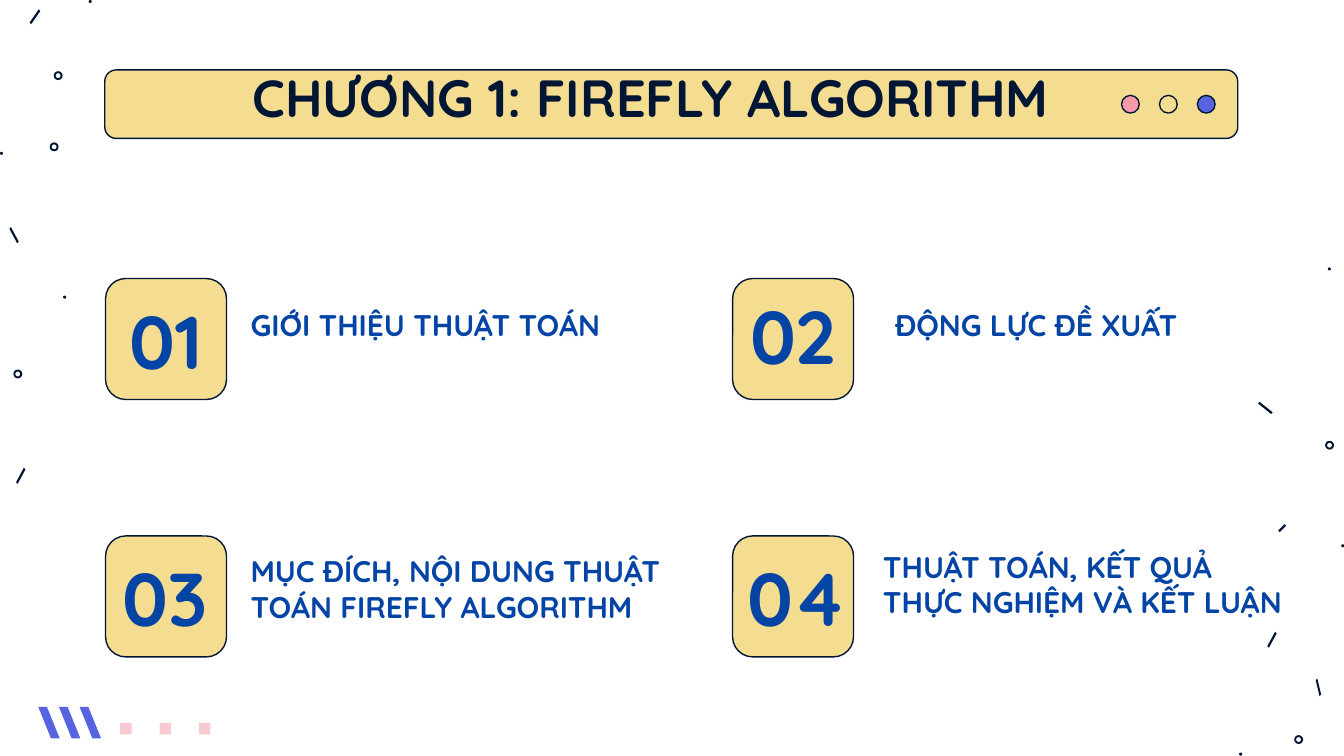
from dataclasses import dataclass

import pptx
import pptx.dml.color
import pptx.enum.shapes
import pptx.enum.text
import pptx.util

SHAPE = pptx.enum.shapes.MSO_SHAPE
ALIGN = pptx.enum.text.PP_ALIGN


@dataclass(frozen=True)
class Theme:
    font: str = "Quicksand"
    ink: str = "011635"
    sand: str = "F4DC90"
    blue: str = "0344A5"
    violet: str = "5863E0"
    pink: str = "F99AAA"
    blush: str = "F9CAD2"
    heading: int = 28
    number: int = 40
    label: int = 16
    outline: float = 0.75


class Board:
    """Draws on one slide; lengths are cells of a grid 100 columns wide."""

    def __init__(self, slide, theme, cell):
        self.shapes = slide.shapes
        self.theme = theme
        self.cell = cell

    def span(self, *cells):
        return [round(n * self.cell) for n in cells]

    def paint(self, shape, fill, outlined=False):
        shape.shadow.inherit = False
        shape.fill.solid()
        shape.fill.fore_color.rgb = pptx.dml.color.RGBColor.from_string(fill)
        if outlined:
            ink = pptx.dml.color.RGBColor.from_string(self.theme.ink)
            shape.line.color.rgb = ink
            shape.line.width = pptx.util.Pt(self.theme.outline)
        else:
            shape.line.fill.background()

    def preset(self, kind, box, fill, outlined=False, adjust=None):
        shape = self.shapes.add_shape(kind, *self.span(*box))
        if adjust is not None:
            shape.adjustments[0] = adjust
        self.paint(shape, fill, outlined)

    def card(self, box):
        self.preset(SHAPE.ROUNDED_RECTANGLE, box, self.theme.sand, True, 0.167)

    def polygon(self, points, fill):
        first, *rest = [self.span(*point) for point in points]
        outline = self.shapes.build_freeform(*first)
        outline.add_line_segments(rest)
        self.paint(outline.convert_to_shape(), fill)

    def dash(self, left, top, width, height, rising):
        thick = 0.12
        near, far = (left, left + width) if rising else (left + width, left)
        inward = thick if rising else -thick
        self.polygon([(far - inward, top), (far, top + thick),
                      (near + inward, top + height),
                      (near, top + height - thick)], self.theme.ink)

    def text(self, words, box, size, color, align=ALIGN.LEFT):
        frame = self.shapes.add_textbox(*self.span(*box)).text_frame
        frame.word_wrap = True
        frame.vertical_anchor = pptx.enum.text.MSO_ANCHOR.TOP
        frame.margin_left = frame.margin_right = 0
        frame.margin_top = frame.margin_bottom = 0
        frame.text = words
        line = frame.paragraphs[0]
        line.alignment = align
        font = line.runs[0].font
        font.name, font.size, font.bold = self.theme.font, pptx.util.Pt(size), True
        font.color.rgb = pptx.dml.color.RGBColor.from_string(color)


# Confetti along both edges: left, top (and width, height, rising for dashes)
DASHES = [(2.2, 0.7, 0.8, 1.1, True), (0.7, 16.9, 0.7, 1.2, False),
          (1.2, 34.8, 0.7, 1.2, True), (93.6, 29.9, 1.1, 0.9, False),
          (97.9, 50.5, 0.4, 1.3, False), (94.3, 47, 0.7, 1.2, True),
          (95.1, 39, 0.6, 0.6, True)]
RINGS = [(4, 5.3), (1, 27.5), (3.7, 10.6), (98.6, 32.8), (96.3, 54.7)]
DOTS = [(4.7, 22), (6.6, 0), (0, 11.3), (99.8, 40.5), (92.2, 56), (98.8, 19.9)]

# Chapter parts: grid column, grid row, number, number box, label, label box
PARTS = [
    (0, 0, "01", (9.4, 21.9, 5.9, 5.1),
     "GIỚI THIỆU THUẬT TOÁN", (18.65, 22.82, 26.8, 5.2)),
    (1, 0, "02", (54.8, 21.6, 8.4, 8),
     "ĐỘNG LỰC ĐỀ XUẤT", (66.6, 22.82, 25.5, 2.8)),
    (0, 1, "03", (8.25, 41.1, 8.1, 6.4),
     "MỤC ĐÍCH, NỘI DUNG THUẬT TOÁN FIREFLY ALGORITHM",
     (18.65, 41.1, 31.3, 7.8)),
    (1, 1, "04", (54.8, 41.1, 9, 6.6),
     "THUẬT TOÁN, KẾT QUẢ THỰC NGHIỆM VÀ KẾT LUẬN",
     (65.7, 40.8, 31, 8.1)),
]


def main():
    deck = pptx.Presentation()
    deck.slide_width = pptx.util.Inches(10)
    deck.slide_height = deck.slide_width * 9 // 16
    slide = deck.slides.add_slide(deck.slide_layouts[6])
    theme = Theme()
    board = Board(slide, theme, deck.slide_width / 100)

    # Confetti
    for dash in DASHES:
        board.dash(*dash)
    for left, top in RINGS:
        board.preset(SHAPE.DONUT, (left, top, 0.66, 0.66), theme.ink, adjust=0.22)
    for left, top in DOTS:
        board.preset(SHAPE.OVAL, (left, top, 0.23, 0.23), theme.ink)

    # Corner squares and slanted stripes
    for i in range(3):
        board.preset(SHAPE.RECTANGLE, (8.95 + 2.93 * i, 53.8, 0.86, 0.86), theme.blush)
        left = 2.85 + 1.54 * i
        board.polygon([(left, 52.6), (left + 0.65, 52.6),
                       (left + 1.6, 54.95), (left + 0.95, 54.95)], theme.violet)

    # Heading bar with its three buttons
    board.card((7.8, 5.2, 84.3, 5.1))
    board.text("CHƯƠNG 1: FIREFLY ALGORITHM", (18.8, 4.85, 77.8, 6.3),
               theme.heading, theme.ink)
    for i, color in enumerate([theme.pink, theme.sand, theme.violet]):
        board.preset(SHAPE.OVAL, (83.45 + 2.82 * i, 7.1, 1.32, 1.32), color, True)

    # Numbered parts
    for column, row, number, number_box, label, label_box in PARTS:
        board.card((7.86 + 46.65 * column, 20.73 + 19.15 * row, 9, 9))
        board.text(number, number_box, theme.number, theme.blue, ALIGN.CENTER)
        board.text(label, label_box, theme.label, theme.blue)

    deck.save("out.pptx")


if __name__ == "__main__":
    main()
